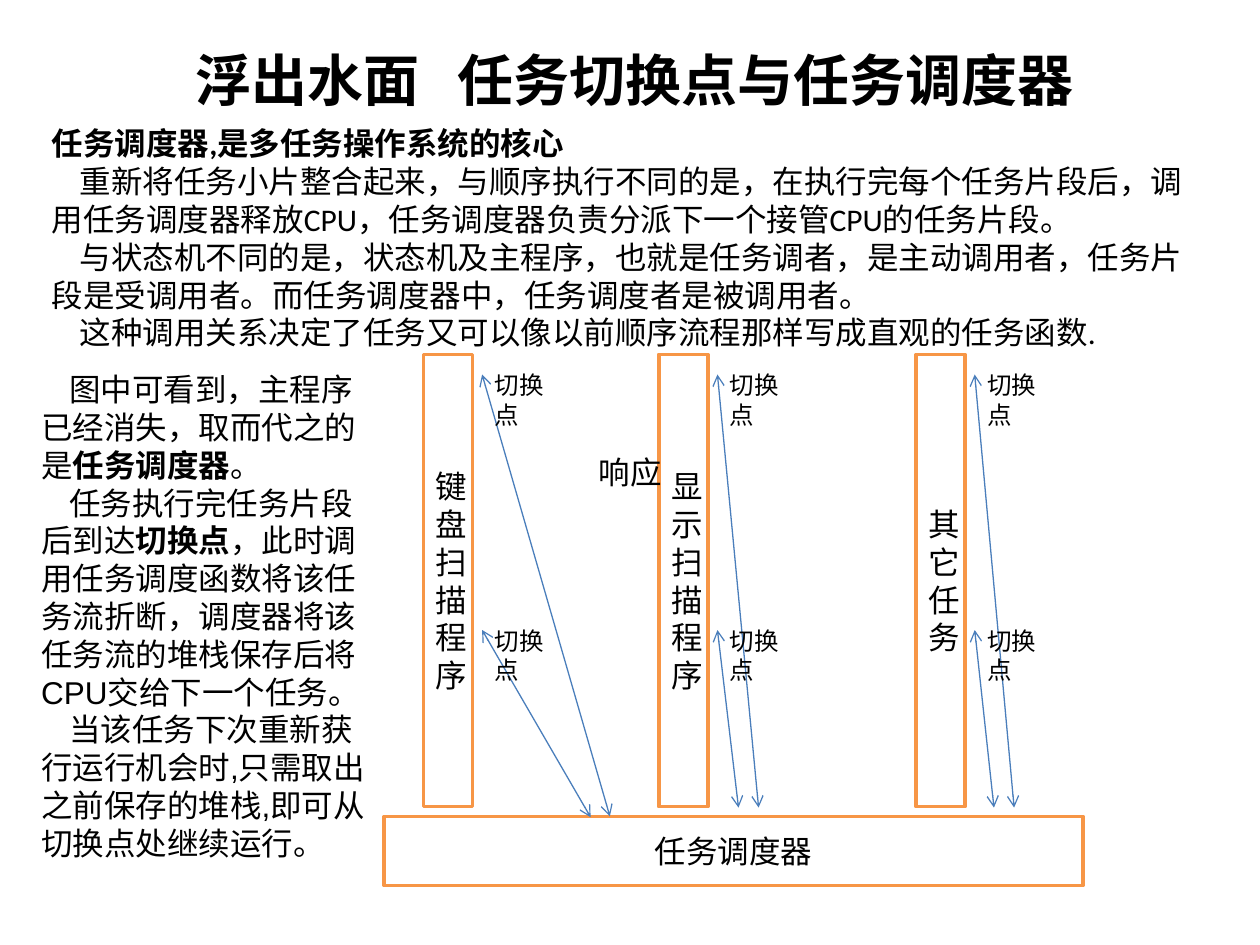
from pptx import Presentation
from pptx import util as u
from pptx.dml.color import RGBColor
from pptx.enum import shapes, text
from pptx.oxml.ns import qn
from lxml import etree

Pt = u.Pt
BLACK = RGBColor(0x00, 0x00, 0x00)
WHITE = RGBColor(0xFF, 0xFF, 0xFF)
ORANGE = RGBColor(0xF7, 0x96, 0x46)
BLUE = RGBColor(0x4A, 0x7E, 0xBB)

INTRO = [
    "*任务调度器,是多任务操作系统的核心*",
    "重新将任务小片整合起来，与顺序执行不同的是，在执行完每个任务片段后，"
    "调用任务调度器释放CPU，任务调度器负责分派下一个接管CPU的任务片段。",
    "与状态机不同的是，状态机及主程序，也就是任务调者，是主动调用者，"
    "任务片段是受调用者。而任务调度器中，任务调度者是被调用者。",
    "这种调用关系决定了任务又可以像以前顺序流程那样写成直观的任务函数.",
]
EXPLANATION = [
    "图中可看到，主程序已经消失，取而代之的是*任务调度器*。",
    "任务执行完任务片段后到达*切换点*，此时调用任务调度函数将该任务流折断，"
    "调度器将该任务流的堆栈保存后将CPU交给下一个任务。",
    "当该任务下次重新获行运行机会时,只需取出之前保存的堆栈,即可从切换点处继续运行。",
]
TASKS = [
    ("键盘扫描程序", 242, [(348.5, 466.5), (337.5, 467)]),
    ("显示扫描程序", 376.5, [(433.5, 461.5), (422, 461.5)]),
    ("其它任务", 523.5, [(579.5, 461.5), (568, 461.5)]),
]
SWITCH_TOPS = (214, 360)


class SlideBuilder:
    """Draws styled elements on the current slide."""

    def __init__(self, slide, font="Calibri", size=18):
        self.slide, self.font, self.size = slide, font, size

    def fill_text(self, frame, paragraphs, align=text.PP_ALIGN.LEFT, indents=None, **formats):
        formats = {"name": self.font, "size": Pt(self.size), "bold": False, **formats}
        for index, content in enumerate(paragraphs):
            paragraph = frame.paragraphs[0] if index == 0 else frame.add_paragraph()
            paragraph.alignment = align
            if indents and indents[index]:
                paragraph._p.get_or_add_pPr().set("indent", str(Pt(indents[index])))
            for part, words in enumerate(content.split("*")):
                if words:
                    run = paragraph.add_run()
                    run.text = words
                    for key, value in formats.items():
                        setattr(run.font, key, value)
                    run.font.color.rgb = BLACK
                    if part % 2:
                        run.font.bold = True

    def title(self, content, box, size, tab):
        title = self.slide.shapes.title
        title.left, title.top, title.width, title.height = map(Pt, box)
        frame = title.text_frame
        settings = {"word_wrap": True, "auto_size": text.MSO_AUTO_SIZE.NONE,
                    "vertical_anchor": text.MSO_ANCHOR.TOP}
        for key, value in settings.items():
            setattr(frame, key, value)
        properties = frame.paragraphs[0]._p.get_or_add_pPr()
        stops = etree.SubElement(properties, qn("a:tabLst"))
        etree.SubElement(stops, qn("a:tab"), pos=str(Pt(tab)), algn="l")
        self.fill_text(frame, [content], size=Pt(size), bold=True)

    def text_box(self, paragraphs, box, wrap=False, **formats):
        frame = self.slide.shapes.add_textbox(*map(Pt, box)).text_frame
        frame.word_wrap = wrap
        self.fill_text(frame, paragraphs, **formats)

    def block(self, content, box):
        shape = self.slide.shapes.add_shape(shapes.MSO_SHAPE.RECTANGLE, *map(Pt, box))
        shape.shadow.inherit = False
        shape.fill.solid()
        shape.fill.fore_color.rgb = WHITE
        shape.line.color.rgb = ORANGE
        shape.line.width = Pt(2)
        shape.text_frame.vertical_anchor = text.MSO_ANCHOR.MIDDLE
        self.fill_text(shape.text_frame, [content], align=text.PP_ALIGN.CENTER)

    def double_arrow(self, start, end):
        connector = self.slide.shapes.add_connector(
            shapes.MSO_CONNECTOR.STRAIGHT, *map(Pt, start + end))
        connector.line.color.rgb = BLUE
        connector.line.width = Pt(0.75)
        line = connector.line._get_or_add_ln()
        for tag in ("a:headEnd", "a:tailEnd"):
            etree.SubElement(line, qn(tag), type="arrow")
        etree.SubElement(connector._element.spPr, qn("a:effectLst"))


def main():
    presentation = Presentation()
    presentation.slide_width, presentation.slide_height = Pt(720), Pt(540)
    builder = SlideBuilder(presentation.slides.add_slide(presentation.slide_layouts[5]))

    builder.title("浮出水面\t任务切换点与任务调度器", (104.5, 22.5, 540, 46), 32, 149.7)
    builder.block("任务调度器", (219.5, 466.5, 399.5, 39.5))
    for name, left, _ in TASKS:
        builder.block(name, (left, 202.5, 28, 258.5))
    builder.text_box(INTRO, (22.5, 67.5, 674.5, 137), wrap=True, indents=[0, 16, 16, 16])
    for _, left, ends in TASKS:
        for top, end in zip(SWITCH_TOPS, ends):
            builder.double_arrow((left + 33.5, top), end)
            builder.text_box(["切换点"], (left + 33.5, top - 6, 56, 24.5), size=Pt(14))
    builder.text_box(EXPLANATION, (16.5, 208, 202.5, 288), wrap=True,
                     indents=[16, 16, 16], name="Arial")
    builder.text_box(["响应"], (335, 255.5, 50.5, 29))
    presentation.save("out.pptx")


if __name__ == "__main__":
    main()
